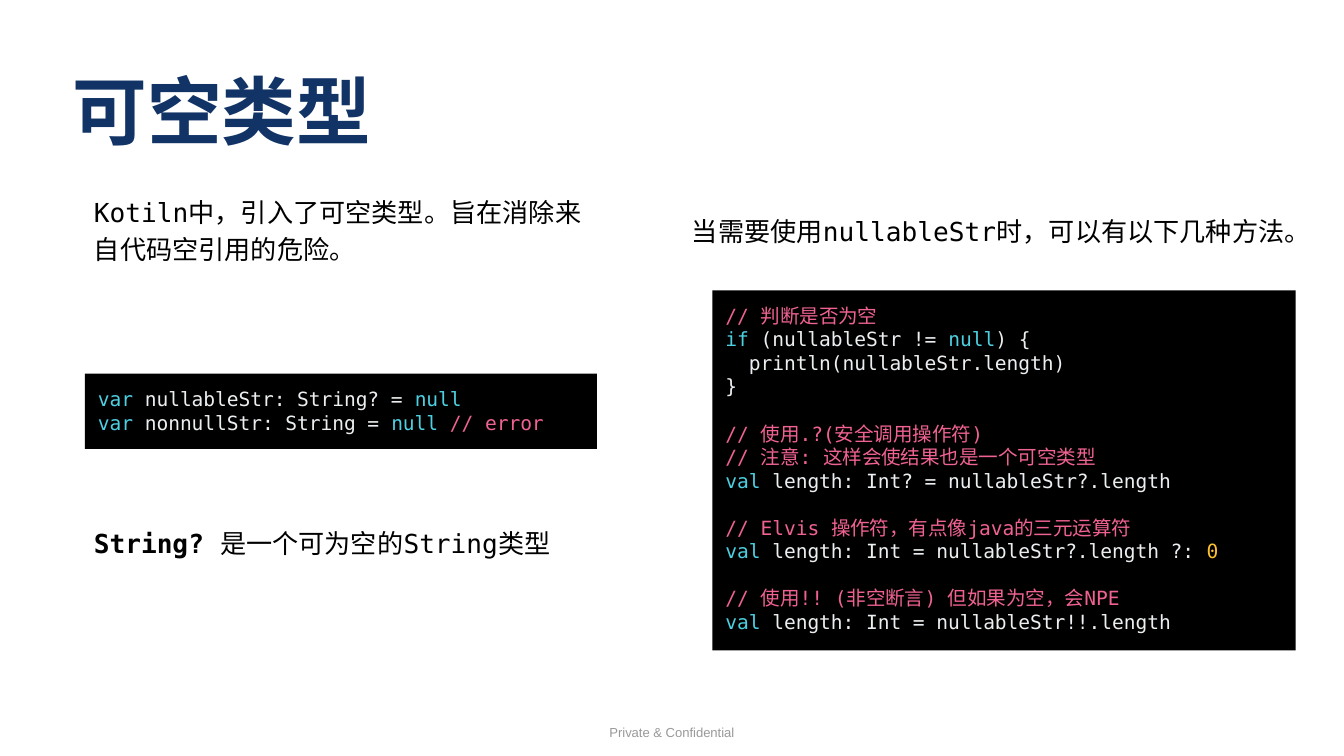
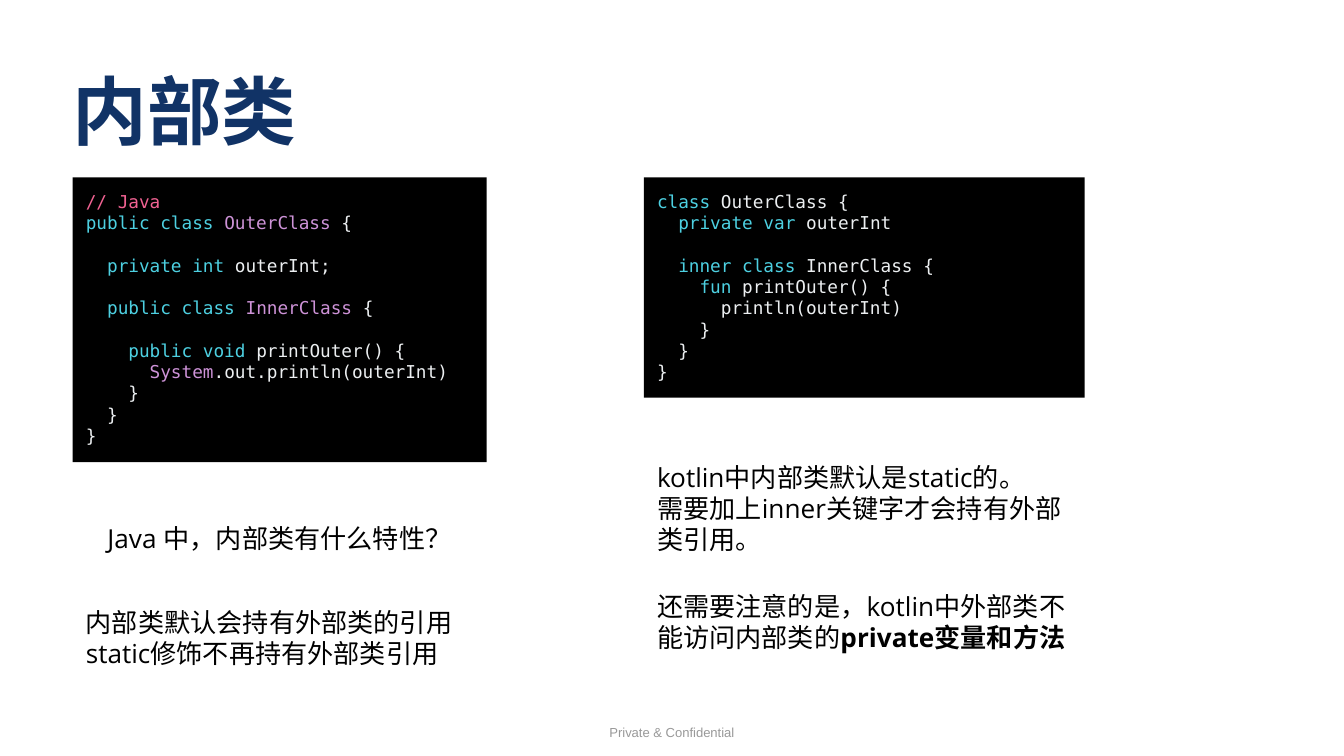
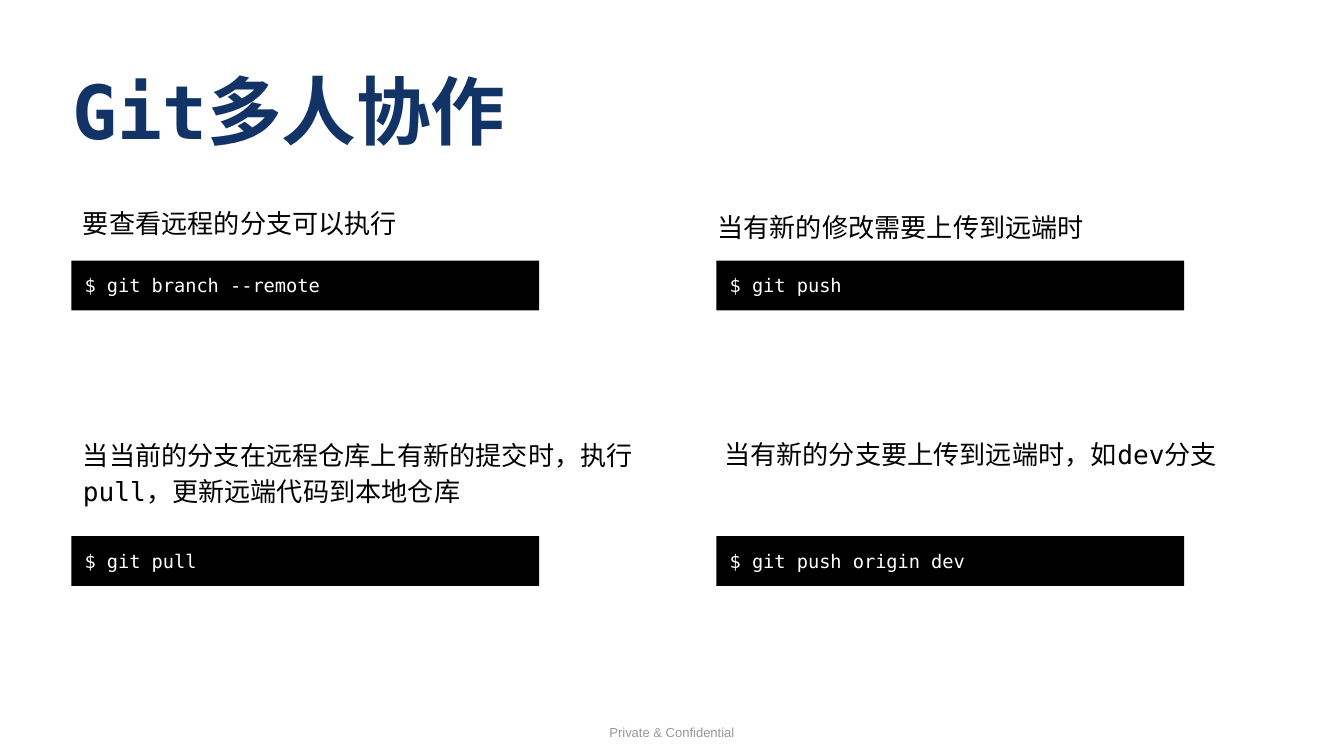
from pptx import Presentation
from pptx.dml.color import RGBColor
from pptx.enum.shapes import MSO_SHAPE
from pptx.enum.text import MSO_ANCHOR, MSO_AUTO_SIZE, PP_ALIGN
from pptx.util import Pt

RECTANGLE = MSO_SHAPE.RECTANGLE
TOP = MSO_ANCHOR.TOP
NO_AUTOFIT = MSO_AUTO_SIZE.NONE
LEFT, CENTER = PP_ALIGN.LEFT, PP_ALIGN.CENTER

COLORS = {
    "title": "113366",
    "footer": "999999",
    "body": "000000",
    "panel": "000000",
    "command": "FFFFFF",
    "plain": "ECEFF1",
    "keyword": "4DD0E1",
    "comment": "F06292",
    "type": "CE93D8",
    "number": "FBC02D",
}
MONO, SANS, FOOTER_FONT = "DejaVu Sans Mono", "Open Sans", "Arial"
TITLE_LAYOUT = 5
LINE = 1.2  # line height as a multiple of the text size
TITLE_BOX = (37.4, 29.5, 399.6, 64.8)
FOOTER_BOX = (282.2, 388.1, 155.5, 20.9)


# Syntax colouring: each helper gives one run as (text, colour, bold)
def plain(text):
    return text, "plain", False


def keyword(text):
    return text, "keyword", False


def comment(text):
    return text, "comment", False


def type_name(text):
    return text, "type", False


def body(text, bold=False):
    return text, "body", bold


# Shared parts
def in_points(box):
    return [Pt(length) for length in box]


def prepare_frame(shape, inset):
    frame = shape.text_frame
    frame.word_wrap = True
    frame.auto_size = NO_AUTOFIT
    frame.vertical_anchor = TOP
    frame.margin_left = frame.margin_right = Pt(inset)
    frame.margin_top = frame.margin_bottom = Pt(inset)
    return frame


def write_blocks(frame, blocks, size, font, leading=LINE, align=LEFT):
    """Write blocks of lines, one line height apart; a line is a list of runs."""
    paragraph = None
    for block in blocks:
        for number, line in enumerate(block):
            starts_block = paragraph is not None and number == 0
            paragraph = frame.add_paragraph() if paragraph else frame.paragraphs[0]
            paragraph.alignment = align
            paragraph.line_spacing = Pt(round(size * leading, 2))
            paragraph.space_before = Pt(size * leading if starts_block else 0)
            for text, color, bold in line:
                run = paragraph.add_run()
                run.text = text
                run.font.name = font
                run.font.size = Pt(size)
                run.font.bold = bold
                run.font.color.rgb = RGBColor.from_string(COLORS[color])


def add_text(slide, box, lines, font=MONO, size=14, leading=LINE, align=LEFT, inset=7.2):
    shape = slide.shapes.add_textbox(*in_points(box))
    write_blocks(prepare_frame(shape, inset), [lines], size, font, leading, align)


def add_code_panel(slide, box, blocks, size):
    shape = slide.shapes.add_shape(RECTANGLE, *in_points(box))
    shape.shadow.inherit = False
    shape.fill.solid()
    shape.fill.fore_color.rgb = RGBColor.from_string(COLORS["panel"])
    shape.line.fill.background()
    write_blocks(prepare_frame(shape, 7.2), blocks, size, MONO)


def add_titled_slide(presentation, title_text):
    slide = presentation.slides.add_slide(presentation.slide_layouts[TITLE_LAYOUT])
    title = slide.shapes.title
    title.left, title.top, title.width, title.height = in_points(TITLE_BOX)
    write_blocks(prepare_frame(title, 1.44), [[[(title_text, "title", True)]]],
                 40, MONO, leading=1.3)
    add_text(slide, FOOTER_BOX, [[("Private & Confidential", "footer", False)]],
             FOOTER_FONT, 7, 1.03, CENTER, inset=1.44)
    return slide


# Nullable types
def add_nullable_definition(slide, left, top):
    add_text(slide, (left, top, 279.4, 51.8),
             [[body("Kotiln中，引入了可空类型。旨在消除来自代码空引用的危险。")]], leading=1.41)
    declarations = [
        [keyword("var"), plain(" nullableStr: String? = "), keyword("null")],
        [keyword("var"), plain(" nonnullStr: String = "), keyword("null "),
         comment("// error")],
    ]
    add_code_panel(slide, (left + 2.2, top + 105.2, 274.3, 40.3), [declarations], 10.5)
    add_text(slide, (left, top + 177.2, 348.5, 31.7),
             [[body("String? ", bold=True), body("是一个可为空的String类型")]], leading=1.41)


def add_nullable_usage(slide, left, top):
    add_text(slide, (left, top, 348.5, 31.7),
             [[body("当需要使用nullableStr时，可以有以下几种方法。")]], leading=1.41)
    null_check = [
        [comment("// 判断是否为空")],
        [keyword("if"), plain(" (nullableStr != "), keyword("null"), plain(") {")],
        [plain("  println(nullableStr.length)")],
        [plain("}")],
    ]
    safe_call = [
        [comment("// 使用.?(安全调用操作符)")],
        [comment("// 注意: 这样会使结果也是一个可空类型")],
        [keyword("val"), plain(" length: Int? = nullableStr?.length")],
    ]
    elvis = [
        [comment("// Elvis 操作符，有点像java的三元运算符")],
        [keyword("val"), plain(" length: Int = nullableStr?.length ?: "),
         ("0", "number", False)],
    ]
    assertion = [
        [comment("// 使用!! (非空断言) 但如果为空，会NPE")],
        [keyword("val"), plain(" length: Int = nullableStr!!.length")],
    ]
    add_code_panel(slide, (left + 18, top + 50.4, 312.5, 193),
                   [null_check, safe_call, elvis, assertion], 10.5)


def build_nullable_slide(presentation):
    slide = add_titled_slide(presentation, "可空类型")
    add_nullable_definition(slide, 43.2, 95)
    add_nullable_usage(slide, 363.6, 105.1)


# Inner classes
def add_java_column(slide, left, top, width):
    outer = [
        [comment("// Java")],
        [keyword("public class "), type_name("OuterClass"), plain(" {")],
    ]
    field = [[keyword("  private int"), plain(" outerInt;")]]
    inner = [[keyword("  public class "), type_name("InnerClass"), plain(" {")]]
    method = [
        [keyword("    public void"), plain(" printOuter() {")],
        [type_name("      System"), plain(".out.println(outerInt)")],
        [plain("    }")],
        [plain("  }")],
        [plain("}")],
    ]
    add_code_panel(slide, (left, top, width, 152.6), [outer, field, inner, method], 9.5)
    add_text(slide, (left, top + 177.9, width, 31.7),
             [[body("Java 中，内部类有什么特性？")]], SANS, align=CENTER)
    add_text(slide, (left, top + 222.5, width, 48.2),
             [[body("内部类默认会持有外部类的引用")],
              [body("static修饰不再持有外部类引用")]], SANS)


def add_kotlin_column(slide, left, top, width):
    outer = [
        [keyword("class"), plain(" OuterClass {")],
        [keyword("  private var"), plain(" outerInt")],
    ]
    inner = [
        [keyword("  inner class"), plain(" InnerClass {")],
        [keyword("    fun"), plain(" printOuter() {")],
        [plain("      println(outerInt)")],
        [plain("    }")],
        [plain("  }")],
        [plain("}")],
    ]
    add_code_panel(slide, (left, top, width, 118.1), [outer, inner], 9.5)
    add_text(slide, (left, top + 144.8, width, 65.5),
             [[body("kotlin中内部类默认是static的。")],
              [body("需要加上inner关键字才会持有外部类引用。")]], SANS)
    add_text(slide, (left, top + 213.9, width, 48.2),
             [[body("还需要注意的是，kotlin中外部类不能访问内部类的"),
               body("private变量和方法", bold=True)]], SANS)


def build_inner_class_slide(presentation):
    slide = add_titled_slide(presentation, "内部类")
    add_java_column(slide, 38.9, 95, 221.8)
    add_kotlin_column(slide, 344.9, 95, 236.2)


# Git commands
def add_git_step(slide, left, top, caption, command, shift, rise, height):
    """Place a command panel at left, top with its caption above it."""
    add_code_panel(slide, (left, top, 250.6, 26.6),
                   [[[(command, "command", False)]]], 10)
    add_text(slide, (left + shift, top - rise, 321.8, height), [[body(caption)]],
             leading=1.38)


def build_git_slide(presentation):
    slide = add_titled_slide(presentation, "Git多人协作")
    # Caption, command, caption shift, caption rise, caption height
    steps = [
        ("要查看远程的分支可以执行", "$ git branch --remote", -0.8, 38.2, 31.7),
        ("当有新的修改需要上传到远端时", "$ git push", -6.5, 36, 31.7),
        ("当当前的分支在远程仓库上有新的提交时，执行pull，更新远端代码到本地仓库",
         "$ git pull", -0.8, 61.9, 51.1),
        ("当有新的分支要上传到远端时，如dev分支", "$ git push origin dev",
         -2.9, 61.9, 31.7),
    ]
    for index, step in enumerate(steps):
        row, column = divmod(index, 2)
        add_git_step(slide, 38.2 + column * 345.6, 139.7 + row * 147.6, *step)


def main():
    presentation = Presentation()
    presentation.slide_width, presentation.slide_height = Pt(720), Pt(405)
    build_nullable_slide(presentation)
    build_inner_class_slide(presentation)
    build_git_slide(presentation)
    presentation.save("out.pptx")


if __name__ == "__main__":
    main()
